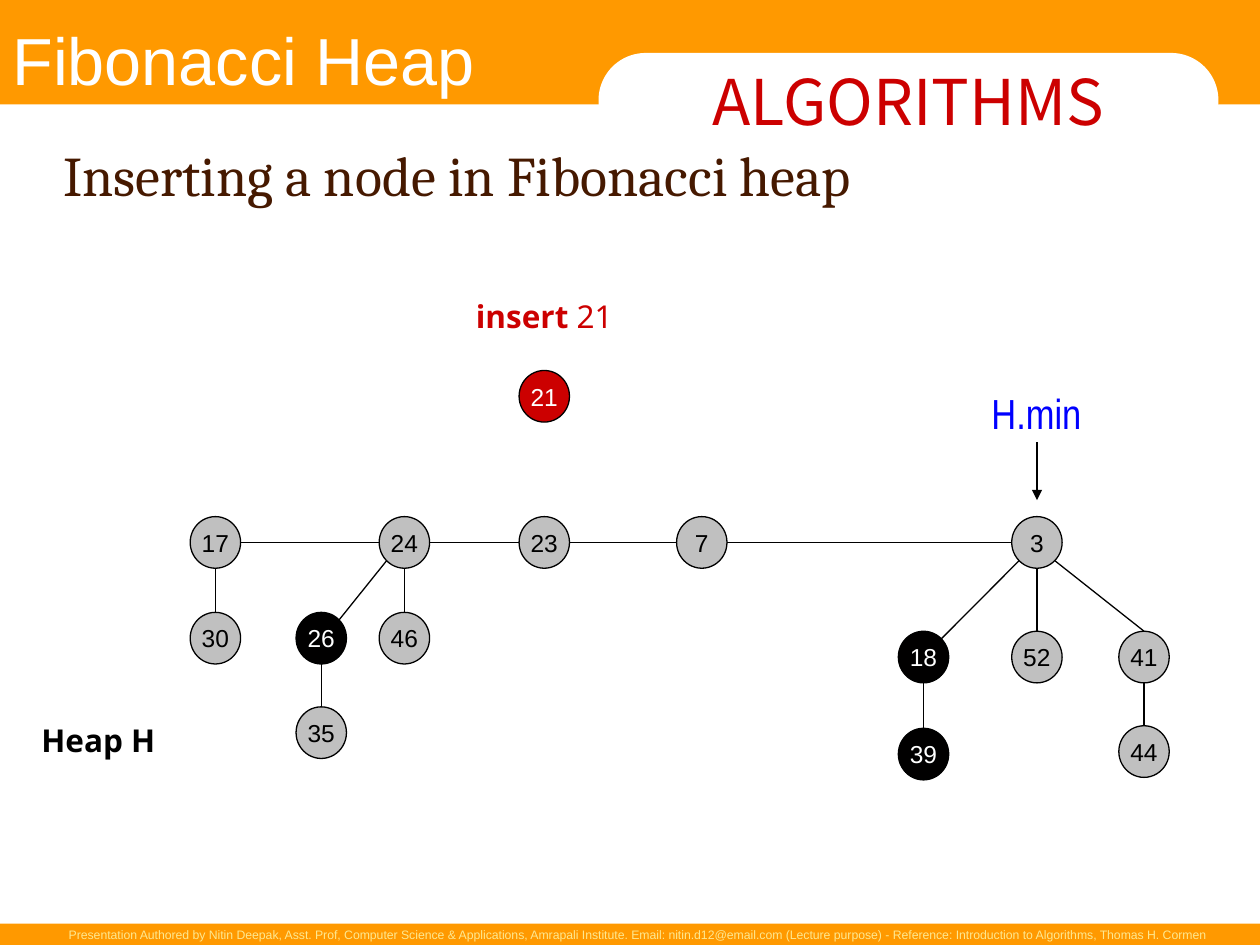
from math import cos, radians, sin

from lxml.etree import SubElement
from pptx import Presentation
from pptx.dml.color import RGBColor
from pptx.enum.shapes import MSO_CONNECTOR as Connector, MSO_SHAPE as Shape
from pptx.enum.text import MSO_ANCHOR as Anchor, MSO_AUTO_SIZE as AutoSize, PP_ALIGN as Align
from pptx.oxml.ns import qn
from pptx.util import Inches, Pt

COLORS = {
    "orange": "FF9900", "white": "FFFFFF", "red": "CC0000", "cream": "FDE891",
    "brown": "461900", "gray": "C0C0C0", "black": "000000", "marked": "010000",
    "blue": "0000FF",
}

BANDS = [(0, 0, 10, 0.83), (0, 7.33, 10, 0.17)]
COURSE = ("ALGORITHMS", (4.75, 0.42, 4.92, 0.75))
TITLE = ("Inserting a node in Fibonacci heap", (0.5, 1.01, 8.99, 0.74))
FOOTER = (
    "Presentation Authored by Nitin Deepak, Asst. Prof, Computer Science & Applications, "
    "Amrapali Institute. Email: nitin.d12@email.com (Lecture purpose) - "
    "Reference: Introduction to Algorithms, Thomas H. Cormen"
)
PADDED, FLUSH = (0.1, 0.05), (0, 0)

# runs, box, font, size, colour, alignment, anchor, wrap, margins
LABELS = [
    ([(FOOTER, False)], (0.42, 7.31, 9.25, 0.22), "Arial", 7, "cream",
     Align.RIGHT, Anchor.TOP, False, PADDED),
    ([("Fibonacci Heap", False)], (0.1, 0.1, 4.2, 0.74), "Arial", 38, "white",
     Align.LEFT, Anchor.MIDDLE, True, FLUSH),
    ([("insert", True), (" 21", False)], (3.36, 2.31, 1.92, 0.4), "Noto Sans", 18, "red",
     Align.CENTER, Anchor.TOP, True, PADDED),
    ([("Heap H", True)], (0.23, 5.67, 1.11, 0.4), "Noto Sans", 18, "black",
     Align.LEFT, Anchor.TOP, True, PADDED),
    ([("H.min", False)], (7.77, 3.03, 0.92, 0.5), "Arial Narrow", 24, "blue",
     Align.LEFT, Anchor.TOP, False, PADDED),
]

NODE_W, NODE_H = 0.4, 0.41
NODES = {
    "17": (1.51, 4.1), "24": (3.01, 4.1), "23": (4.12, 4.1), "7": (5.37, 4.1), "3": (8.03, 4.1),
    "30": (1.51, 4.86), "26": (2.35, 4.86), "46": (3.01, 4.86), "35": (2.35, 5.61),
    "18": (7.13, 5.01), "52": (8.03, 5.01), "41": (8.88, 5.01),
    "39": (7.13, 5.78), "44": (8.88, 5.76), "21": (4.12, 2.94),
}
NODE_FILLS = {"26": "marked", "18": "marked", "39": "marked", "21": "red"}
ROOTS = ["17", "24", "23", "7", "3"]
STRAIGHT = [("30", "17"), ("46", "24"), ("35", "26"), ("52", "3"), ("39", "18"), ("44", "41")]
SLANTED = [("26", 45, "24", 225), ("18", 45, "3", 225), ("41", 90, "3", 315)]
MIN_POINTER = ((8.23, 3.51), (8.23, 3.97))


def rgb(name):
    return RGBColor.from_string(COLORS[name])


def write(shape, runs, font, size, color, align, anchor, wrap, margins):
    frame = shape.text_frame
    side, edge = map(Inches, margins)
    frame_format = {
        "word_wrap": wrap, "auto_size": AutoSize.NONE, "vertical_anchor": anchor,
        "margin_left": side, "margin_right": side, "margin_top": edge, "margin_bottom": edge,
    }
    for key, value in frame_format.items():
        setattr(frame, key, value)
    paragraph = frame.paragraphs[0]
    paragraph.alignment = align
    for text, bold in runs:
        run = paragraph.add_run()
        run.text = text
        for key, value in {"name": font, "size": Pt(size), "bold": bold}.items():
            setattr(run.font, key, value)
        run.font.color.rgb = rgb(color)


def add_filled(slide, kind, box, fill, outline=None):
    shape = slide.shapes.add_shape(kind, *map(Inches, box))
    shape.shadow.inherit = False
    shape.fill.solid()
    shape.fill.fore_color.rgb = rgb(fill)
    if outline:
        shape.line.color.rgb = rgb(outline)
        shape.line.width = Pt(0.75)
    else:
        shape.line.fill.background()
    return shape


def rim(node, angle):
    left, top = NODES[node]
    return (left + NODE_W / 2 * (1 + cos(radians(angle))),
            top + NODE_H / 2 * (1 - sin(radians(angle))))


def add_link(slide, start, end, arrow=False):
    link = slide.shapes.add_connector(Connector.STRAIGHT, *map(Inches, start + end))
    link.line.color.rgb = rgb("black")
    link.line.width = Pt(0.75)
    if arrow:
        SubElement(link.line._get_or_add_ln(), qn("a:tailEnd"), type="triangle")
    SubElement(link._element.spPr, qn("a:effectLst"))


def main():
    """Build the Fibonacci heap insertion slide."""
    deck = Presentation()
    deck.slide_width, deck.slide_height = Inches(10), Inches(7.5)
    slide = deck.slides.add_slide(deck.slide_layouts[5])

    for band in BANDS:
        add_filled(slide, Shape.RECTANGLE, band, "orange")
    course, course_box = COURSE
    tab = add_filled(slide, Shape.ROUNDED_RECTANGLE, course_box, "white")
    tab.adjustments[0] = 0.5
    write(tab, [(course, False)], "Noto Sans CJK KR", 36, "red",
          Align.CENTER, Anchor.MIDDLE, False, PADDED)

    heading, heading_box = TITLE
    title = slide.shapes.title
    for key, value in zip(("left", "top", "width", "height"), heading_box):
        setattr(title, key, Inches(value))
    write(title, [(heading, False)], "Cambria", 32, "brown",
          Align.LEFT, Anchor.MIDDLE, True, FLUSH)

    for runs, box, *text_format in LABELS:
        write(slide.shapes.add_textbox(*map(Inches, box)), runs, *text_format)

    for left, right in zip(ROOTS, ROOTS[1:]):
        add_link(slide, rim(left, 0), rim(right, 180))
    for child, parent in STRAIGHT:
        add_link(slide, rim(child, 90), rim(parent, 270))
    for child, child_angle, parent, parent_angle in SLANTED:
        add_link(slide, rim(child, child_angle), rim(parent, parent_angle))
    add_link(slide, *MIN_POINTER, arrow=True)

    for key, place in NODES.items():
        fill = NODE_FILLS.get(key, "gray")
        node = add_filled(slide, Shape.OVAL, (*place, NODE_W, NODE_H), fill, "black")
        write(node, [(key, False)], "Arial", 14, "black" if fill == "gray" else "white",
              Align.CENTER, Anchor.MIDDLE, False, PADDED)

    deck.save("out.pptx")


if __name__ == "__main__":
    main()
